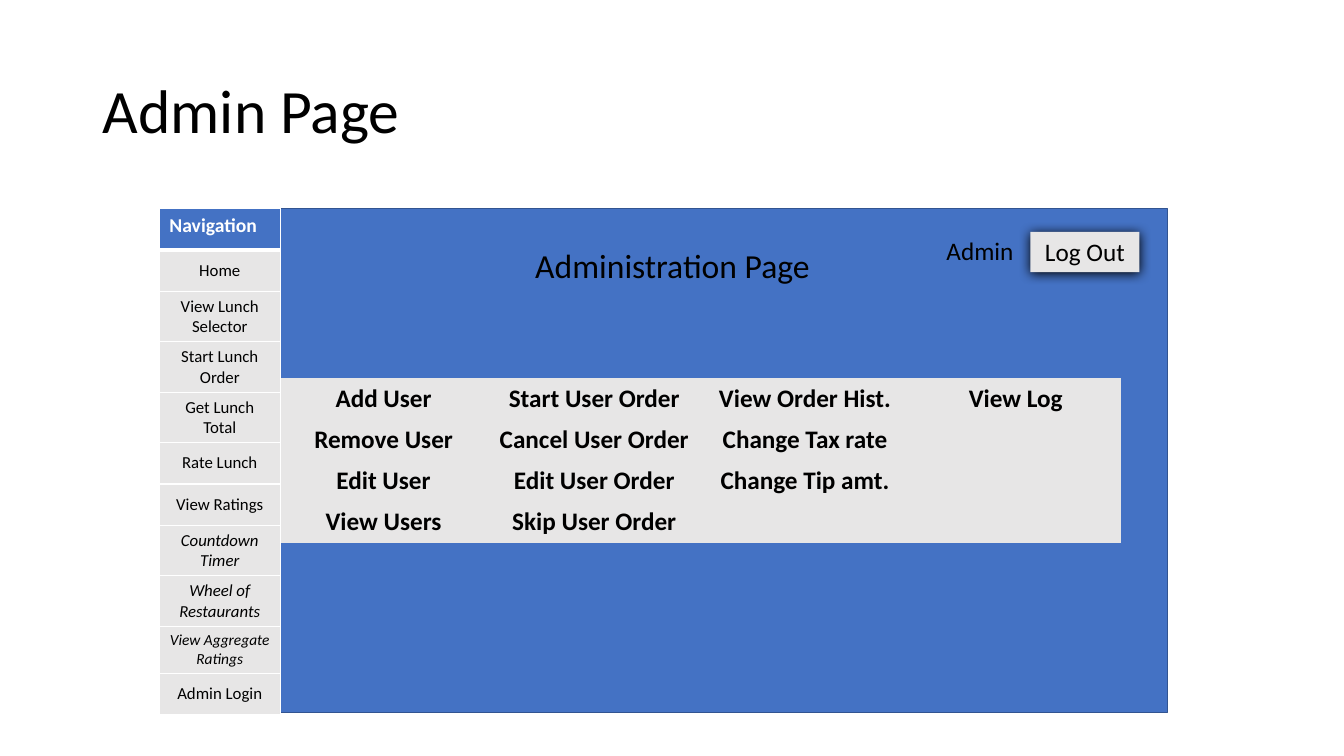
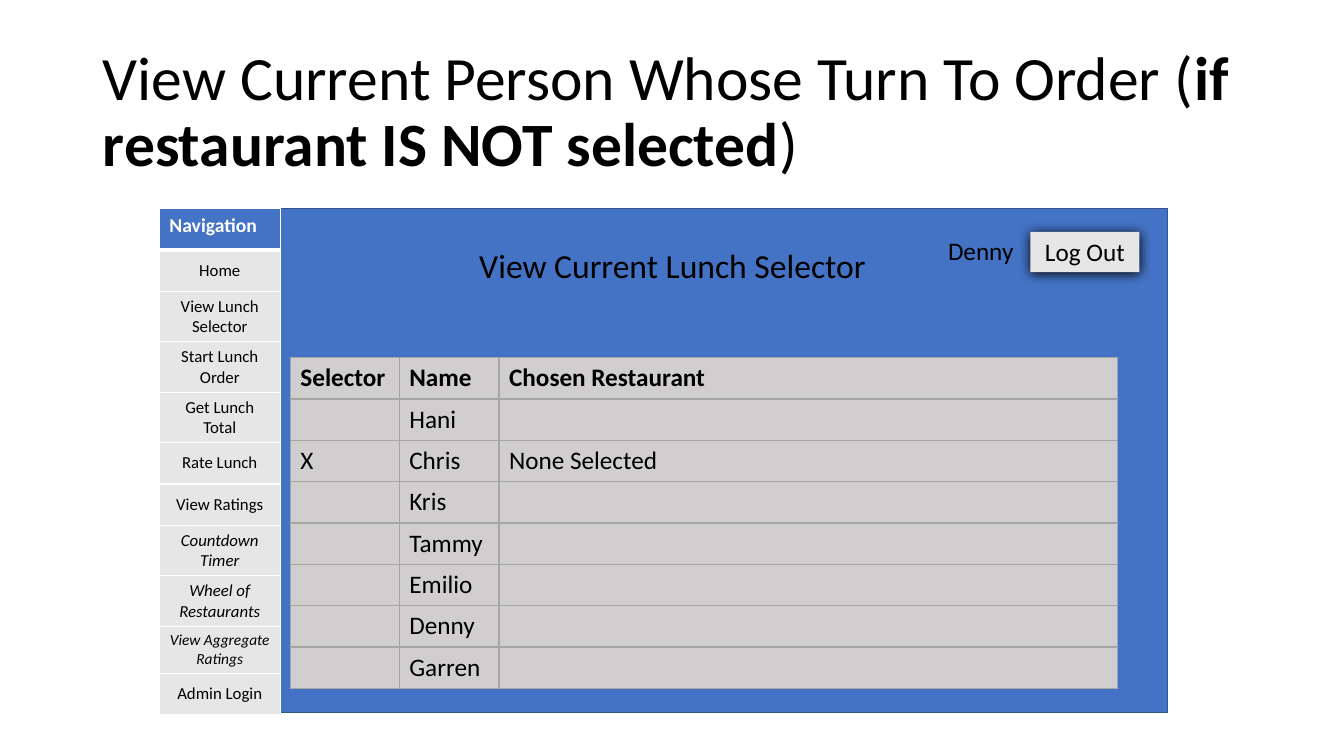
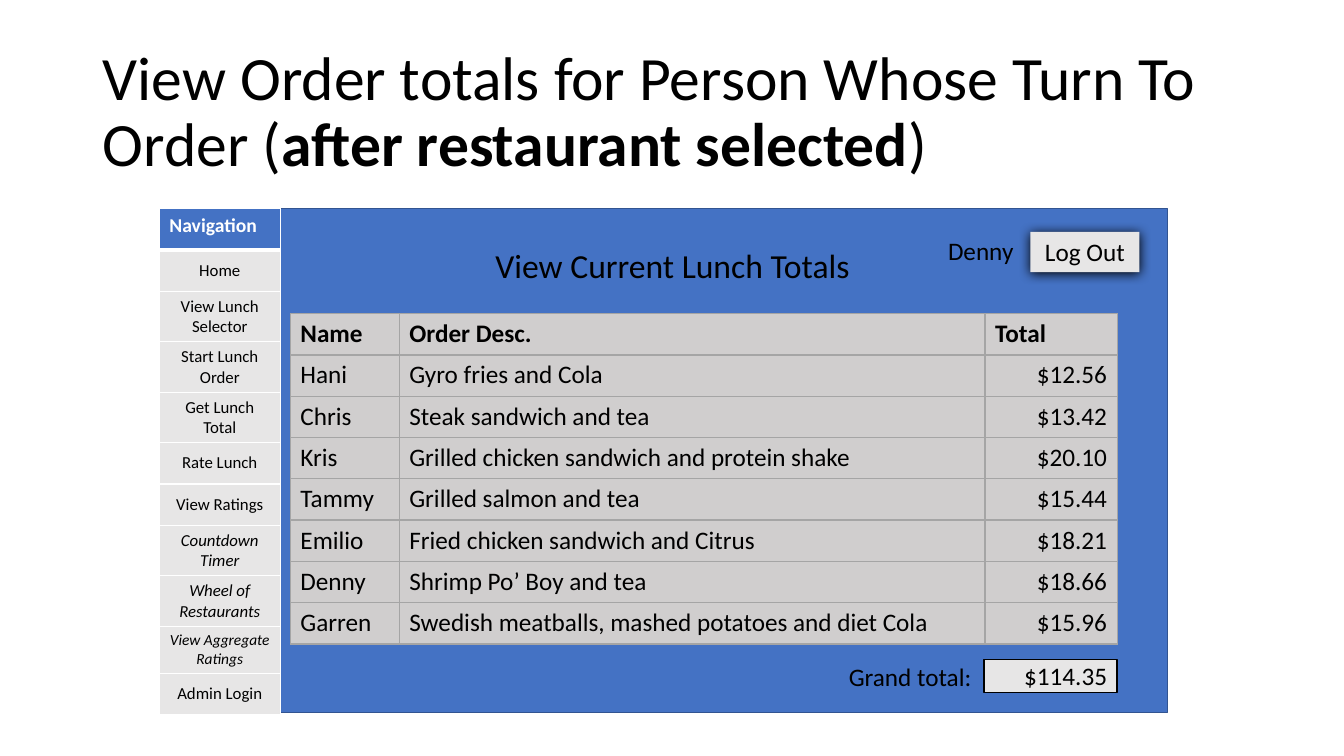
from dataclasses import dataclass

from pptx import Presentation
from pptx.dml.color import RGBColor
from pptx.enum.shapes import MSO_SHAPE
from pptx.enum.text import MSO_ANCHOR, MSO_AUTO_SIZE, PP_ALIGN
from pptx.oxml.ns import qn
from pptx.oxml.xmlchemy import OxmlElement
from pptx.util import Inches, Pt

LEFT, CENTER, RIGHT = PP_ALIGN.LEFT, PP_ALIGN.CENTER, PP_ALIGN.RIGHT
TOP, MIDDLE = MSO_ANCHOR.TOP, MSO_ANCHOR.MIDDLE
GROW, FIXED = MSO_AUTO_SIZE.SHAPE_TO_FIT_TEXT, MSO_AUTO_SIZE.NONE
RECT = MSO_SHAPE.RECTANGLE
TITLE_ONLY = 5


@dataclass(frozen=True)
class Theme:
    font: str = "Calibri"
    ink: str = "000000"
    white: str = "FFFFFF"
    blue: str = "4472C4"
    blue_edge: str = "325491"
    pale: str = "E7E6E6"
    gray: str = "D0CECE"
    gray_edge: str = "A5A5A5"
    title: float = 44
    heading: float = 24
    body: float = 18
    nav_head: float = 14
    nav: float = 12
    nav_small: float = 11
    row: float = 0.41


THEME = Theme()


def write(tf, text, size=THEME.body, color=THEME.ink, bold=False, italic=False,
          align=LEFT, spacing=None):
    """Fill a text frame; text is a string or a list of (string, bold) runs."""
    p = tf.paragraphs[0]
    p.alignment = align
    if spacing:
        p.line_spacing = spacing
    runs = [(text, bold)] if isinstance(text, str) else text
    for words, strong in runs:
        r = p.add_run()
        r.text = words
        r.font.name = THEME.font
        r.font.size = Pt(size)
        r.font.color.rgb = RGBColor.from_string(color)
        r.font.bold = strong
        r.font.italic = italic


def element(tag, *children, **attributes):
    """Make a drawing element with its attributes and children."""
    node = OxmlElement(tag)
    for name, value in attributes.items():
        node.set(name, str(int(value)) if not isinstance(value, str) else value)
    for child in children:
        node.append(child)
    return node


def set_borders(cell, color, widths):
    """Set the left, right, top and bottom edges; no colour means no line."""
    tc_pr = cell._tc.get_or_add_tcPr()
    for i, (side, width) in enumerate(zip("LRTB", widths)):
        if color:
            fill = element("a:solidFill", element("a:srgbClr", val=color))
        else:
            fill = element("a:noFill")
        tc_pr.insert(i, element(f"a:ln{side}", fill, w=Pt(width)))


def add_shadow(sp):
    effects = sp._element.spPr.find(qn("a:effectLst"))
    effects.append(element("a:outerShdw", element("a:srgbClr", val=THEME.ink),
                           blurRad=Pt(8.5), dist=Pt(1), dir=5400000))


class Deck:
    NAV = ["Navigation", "Home", "View Lunch Selector", "Start Lunch Order",
           "Get Lunch Total", "Rate Lunch", "View Ratings", "Countdown Timer",
           "Wheel of Restaurants", "View Aggregate Ratings", "Admin Login"]
    NAV_ITALIC = {"Countdown Timer", "Wheel of Restaurants", "View Aggregate Ratings"}

    def __init__(self):
        self.prs = Presentation()
        self.prs.slide_width, self.prs.slide_height = Inches(13.33), Inches(7.5)
        self.slide = None

    def page(self, title, heading, user):
        """Start a slide with its title and the shared application panel."""
        self.slide = self.prs.slides.add_slide(self.prs.slide_layouts[TITLE_ONLY])
        self.title(title)
        self.box((1.58, 2.07, 10, 5), THEME.blue, THEME.blue_edge)
        self.label((3.93, 2.38, 5.48, 0.5), heading, size=THEME.heading, align=CENTER)
        self.label((8.94, 2.29, 1.21, 0.4), user, align=RIGHT)
        button = self.box((10.22, 2.3, 1.08, 0.4), THEME.pale, text="Log Out",
                          anchor=TOP, align=CENTER)
        add_shadow(button)

    def title(self, text):
        sp = self.slide.shapes.title
        sp.left, sp.top, sp.width, sp.height = map(Inches, (0.92, 0.4, 11.5, 1.45))
        tf = sp.text_frame
        tf.vertical_anchor, tf.word_wrap, tf.auto_size = MIDDLE, True, FIXED
        write(tf, text, size=THEME.title, spacing=0.9)

    def label(self, at, text, **fmt):
        tf = self.slide.shapes.add_textbox(*map(Inches, at)).text_frame
        tf.word_wrap, tf.auto_size = True, GROW
        write(tf, text, **fmt)

    def box(self, at, fill, line=None, text=None, anchor=MIDDLE, **fmt):
        sp = self.slide.shapes.add_shape(RECT, *map(Inches, at))
        sp.shadow.inherit = False
        sp.fill.solid()
        sp.fill.fore_color.rgb = RGBColor.from_string(fill)
        if line:
            sp.line.color.rgb = RGBColor.from_string(line)
            sp.line.width = Pt(1)
        else:
            sp.line.fill.background()
        if text:
            sp.text_frame.vertical_anchor = anchor
            write(sp.text_frame, text, **fmt)
        return sp

    def table(self, left, top, cols, rows, style, edge=None, head_edge=1):
        """style(row, text) gives the fill, the anchor and the text format."""
        tbl = self.slide.shapes.add_table(
            len(rows), len(cols), Inches(left), Inches(top),
            Inches(sum(cols)), Inches(THEME.row * len(rows))).table
        tbl.first_row = tbl.horz_banding = False
        for column, width in zip(tbl.columns, cols):
            column.width = Inches(width)
        for i, row in enumerate(rows):
            tbl.rows[i].height = Inches(THEME.row)
            for j, text in enumerate(row):
                cell = tbl.cell(i, j)
                fill, anchor, fmt = style(i, text)
                cell.fill.solid()
                cell.fill.fore_color.rgb = RGBColor.from_string(fill)
                cell.vertical_anchor = anchor
                set_borders(cell, edge, (1, 1, head_edge if i == 1 else 1,
                                         head_edge if i == 0 else 1))
                if text:
                    write(cell.text_frame, text, **fmt)

    def action_table(self, rows):
        def style(i, text):
            return THEME.pale, TOP, dict(bold=True, align=CENTER)
        self.table(2.76, 3.75, [2.09] * 4, rows, style)

    def data_table(self, top, cols, rows):
        def style(i, text):
            align = RIGHT if text.startswith("$") else LEFT
            return THEME.gray, TOP, dict(bold=i == 0, align=align)
        self.table(2.88, top, cols, rows, style, THEME.gray_edge, head_edge=2)

    def navigation(self):
        def style(i, text):
            if i == 0:
                return THEME.blue, TOP, dict(size=THEME.nav_head, color=THEME.white,
                                             bold=True)
            size = THEME.nav_small if text == "View Aggregate Ratings" else THEME.nav
            return THEME.pale, MIDDLE, dict(size=size, align=CENTER,
                                            italic=text in self.NAV_ITALIC)
        self.table(1.58, 2.07, [1.2], [[item] for item in self.NAV], style,
                   THEME.white, head_edge=3)


deck = Deck()
people = ["Hani", "Chris", "Kris", "Tammy", "Emilio", "Denny", "Garren"]

# Administration page
deck.page("Admin Page", "Administration Page", "Admin")
deck.action_table([
    ["Add User", "Start User Order", "View Order Hist.", "View Log"],
    ["Remove User", "Cancel User Order", "Change Tax rate", ""],
    ["Edit User", "Edit User Order", "Change Tip amt.", ""],
    ["View Users", "Skip User Order", "", ""],
])
deck.navigation()

# Lunch selector
deck.page([("View Current Person Whose Turn To Order (", False),
           ("if restaurant IS NOT selected", True), (")", False)],
          "View Current Lunch Selector", "Denny")
selected = {"Chris": ("X", "None Selected")}
selector_rows = [["Selector", "Name", "Chosen Restaurant"]]
for name in people:
    mark, restaurant = selected.get(name, ("", ""))
    selector_rows.append([mark, name, restaurant])
deck.data_table(3.55, [1.08, 0.99, 6.13], selector_rows)
deck.navigation()

# Lunch totals
deck.page([("View Order totals for Person Whose Turn To Order (", False),
           ("after restaurant selected", True), (")", False)],
          "View Current Lunch Totals", "Denny")
orders = [
    ("Gyro fries and Cola", 12.56),
    ("Steak sandwich and tea", 13.42),
    ("Grilled chicken sandwich and protein shake", 20.10),
    ("Grilled salmon and tea", 15.44),
    ("Fried chicken sandwich and Citrus", 18.21),
    ("Shrimp Po\u2019 Boy and tea", 18.66),
    ("Swedish meatballs, mashed potatoes and diet Cola", 15.96),
]
deck.data_table(3.11, [1.08, 5.81, 1.31], [["Name", "Order Desc.", "Total"]] + [
    [name, order, f"${total:.2f}"] for name, (order, total) in zip(people, orders)])
deck.navigation()
deck.box((9.76, 6.54, 1.32, 0.33), THEME.pale, THEME.ink, text="$114.35", align=RIGHT)
deck.label((8.32, 6.51, 1.43, 0.4), "Grand total:")

deck.prs.save("out.pptx")
